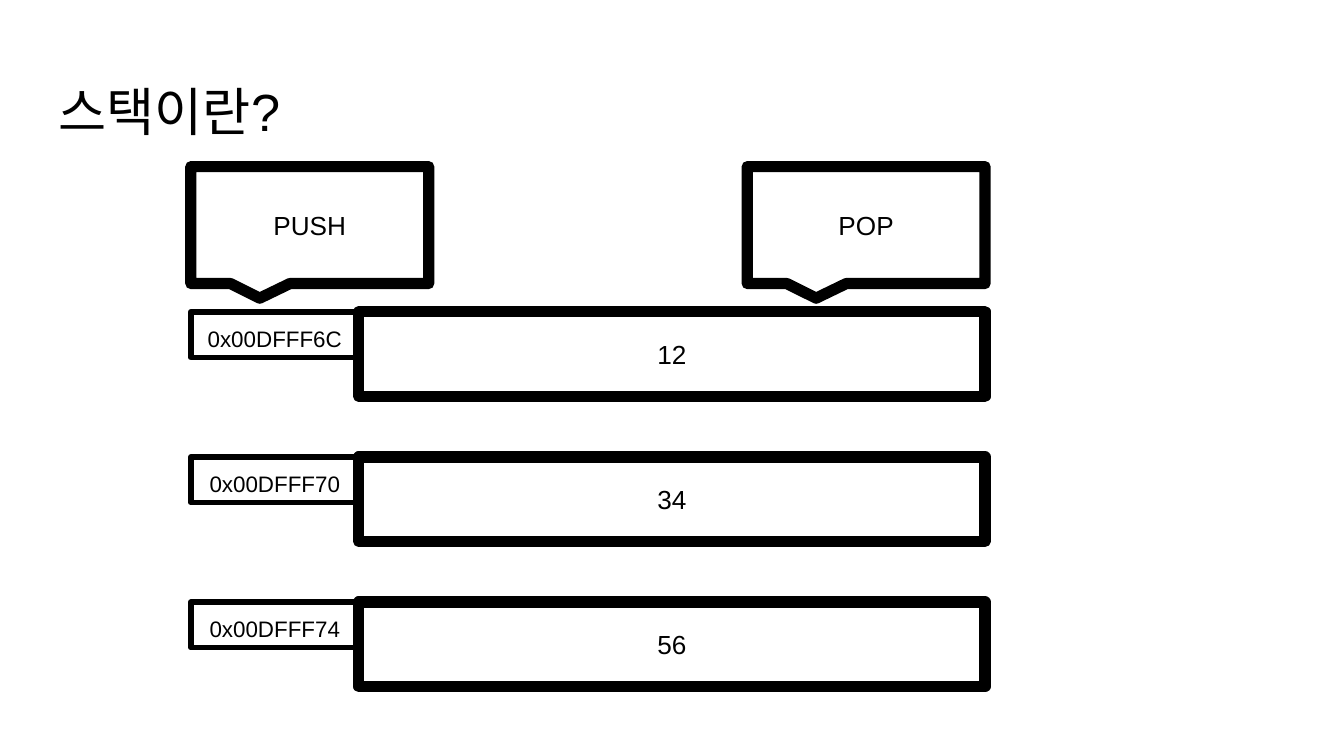
from pptx import Presentation
from pptx.dml.color import RGBColor
from pptx.enum.shapes import MSO_SHAPE
from pptx.enum.text import MSO_ANCHOR, PP_ALIGN
from pptx.util import Inches, Pt

TITLE = "스택이란?"
STACK = [("0x00DFFF6C", "12"), ("0x00DFFF70", "34"), ("0x00DFFF74", "56")]
OPERATIONS = ["PUSH", "POP"]

COLORS = {"ink": "000000", "paper": "FFFFFF"}
FONT = "Arial"

LEFT, RIGHT = 1.42, 7.33
ADDRESS_W, ADDRESS_H = 1.25, 0.34
VALUE_H = 0.63
STACK_TOP, STACK_STEP = 2.32, 1.08
CALLOUT_TOP, CALLOUT_W, CALLOUT_H = 1.24, 1.77, 0.87


def color(name):
    return RGBColor.from_string(COLORS[name])


def write(shape, text, size, align, anchor):
    frame = shape.text_frame
    frame.word_wrap = True
    frame.vertical_anchor = anchor
    frame.margin_left = frame.margin_right = Inches(0.1)
    frame.margin_top = frame.margin_bottom = Inches(0.1)
    paragraph = frame.paragraphs[0]
    paragraph.alignment = align
    run = paragraph.add_run()
    run.text = text
    run.font.name = FONT
    run.font.size = Pt(size)
    run.font.color.rgb = color("ink")


def add_box(shapes, kind, bounds, text, size=14, line=6, anchor=MSO_ANCHOR.MIDDLE):
    box = shapes.add_shape(kind, *map(Inches, bounds))
    box.shadow.inherit = False
    box.fill.background()
    box.line.color.rgb = color("ink")
    box.line.width = Pt(line)
    write(box, text, size, PP_ALIGN.CENTER, anchor)
    return box


prs = Presentation()
prs.slide_width, prs.slide_height = Inches(10), Inches(5.625)
slide = prs.slides.add_slide(prs.slide_layouts[6])
slide.background.fill.solid()
slide.background.fill.fore_color.rgb = color("paper")

title = slide.shapes.add_textbox(Inches(0.34), Inches(0.49), Inches(9.32), Inches(0.63))
write(title, TITLE, 28, PP_ALIGN.LEFT, MSO_ANCHOR.TOP)

value_left = LEFT + ADDRESS_W
for row, (address, value) in reversed(list(enumerate(STACK))):
    top = STACK_TOP + row * STACK_STEP
    entry = slide.shapes.add_group_shape().shapes
    add_box(entry, MSO_SHAPE.RECTANGLE,
            (value_left, top, RIGHT - value_left, VALUE_H), value)
    add_box(entry, MSO_SHAPE.RECTANGLE, (LEFT, top, ADDRESS_W, ADDRESS_H),
            address, size=12, line=3, anchor=MSO_ANCHOR.TOP)

for operation, left in zip(OPERATIONS, (LEFT, RIGHT - CALLOUT_W)):
    callout = add_box(slide.shapes, MSO_SHAPE.RECTANGULAR_CALLOUT,
                      (left, CALLOUT_TOP, CALLOUT_W, CALLOUT_H), operation)
    callout.adjustments[0] = -0.21
    callout.adjustments[1] = 0.625

prs.save("out.pptx")
